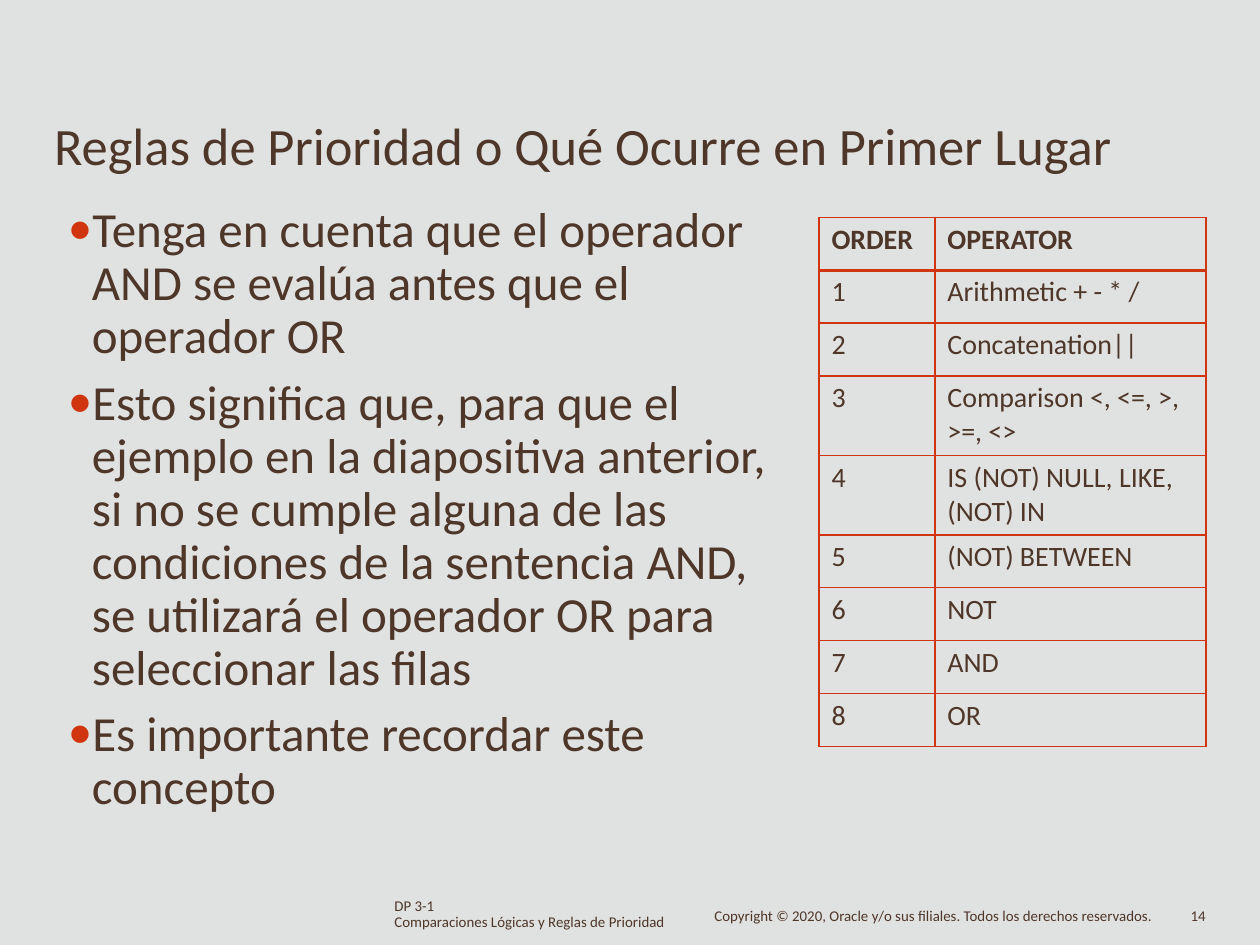
"""Build the slide on operator precedence rules."""
from dataclasses import dataclass

from lxml.etree import SubElement
from pptx import Presentation
from pptx.dml.color import RGBColor
from pptx.oxml.ns import qn
from pptx.util import Inches, Pt


@dataclass(frozen=True)
class Theme:
    font: str = "Calibri"
    ground: str = "E0E2E1"
    ink: str = "4E3629"
    accent: str = "D1350F"
    title: float = 30
    body: float = 28
    cell: float = 16
    foot: float = 8.5
    rule: float = 1
    head_rule: float = 2.25


T = Theme()


def write(tf, text, size, bold=False, line=None, before=0, left=0, bullet=False):
    tf.word_wrap = True
    for i, part in enumerate(text.split("\n")):
        p = tf.add_paragraph() if i else tf.paragraphs[0]
        pPr = p._p.get_or_add_pPr()
        pPr.set("marL", str(Inches(left)))
        if bullet:
            pPr.set("indent", str(Inches(-0.19)))
            SubElement(SubElement(pPr, qn("a:buClr")), qn("a:srgbClr")).set("val", T.accent)
            SubElement(pPr, qn("a:buFont")).set("typeface", T.font)
            SubElement(pPr, qn("a:buChar")).set("char", "•")
        if line:
            p.line_spacing = Pt(line)
        p.space_before = Pt(before if i else 0)
        r = p.add_run()
        r.text = part
        r.font.name, r.font.size, r.font.bold = T.font, Pt(size), bold
        r.font.color.rgb = RGBColor.from_string(T.ink)


prs = Presentation()
prs.slide_width, prs.slide_height = Inches(10), Inches(7.5)
W, H = prs.slide_width, prs.slide_height
s = prs.slides.add_slide(prs.slide_layouts[6])
s.background.fill.solid()
s.background.fill.fore_color.rgb = RGBColor.from_string(T.ground)

title = "Reglas de Prioridad o Qué Ocurre en Primer Lugar"
body = "\n".join([
    "Tenga en cuenta que el operador AND se evalúa antes que el operador OR",
    "Esto significa que, para que el ejemplo en la diapositiva anterior, si no se cumple "
    "alguna de las condiciones de la sentencia AND, se utilizará el operador OR para "
    "seleccionar las filas",
    "Es importante recordar este concepto",
])
lesson = "DP 3-1\nComparaciones Lógicas y Reglas de Prioridad"
rights = "Copyright © 2020, Oracle y/o sus filiales. Todos los derechos reservados."

# left, top, width and height as percentages of the slide
boxes = [
    (title, (4.3, 10.93, 91.4, 7.73), 0.08, dict(size=T.title)),
    (body, (5.3, 20.67, 55.7, 65.6), 0.07,
     dict(size=T.body, line=30.3, before=7.75, left=0.2, bullet=True)),
    (lesson, (31.2, 94.93, 21.8, 3.6), 0, dict(size=T.foot, line=9.7, left=0.01)),
    (rights, (56.6, 96.13, 35.2, 2), 0, dict(size=T.foot, line=9.1, left=0.01)),
    ("14", (94.1, 96.13, 2.2, 2), 0, dict(size=T.foot, line=9.1, left=0.04)),
]
for text, (x, y, w, h), top, fmt in boxes:
    sp = s.shapes.add_textbox(*(int(v * d / 100) for v, d in zip((x, y, w, h), (W, H, W, H))))
    tf = sp.text_frame
    tf.margin_left = tf.margin_right = tf.margin_bottom = 0
    tf.margin_top = Inches(top)
    write(tf, text, **fmt)

operators = [
    "Arithmetic + - * /", "Concatenation||", "Comparison <, <=, >,\n>=, <>",
    "IS (NOT) NULL, LIKE, (NOT) IN", "(NOT) BETWEEN", "NOT", "AND", "OR",
]
rows = [("ORDER", "OPERATOR")] + [(str(n), op) for n, op in enumerate(operators, 1)]
widths = (0.092 * W, 0.215 * W)
heights = [(0.084 if i in (3, 4) else 0.056) * H for i in range(len(rows))]
table = s.shapes.add_table(len(rows), 2, int(0.65 * W), int(0.23 * H),
                           int(sum(widths)), int(sum(heights))).table
table.horz_banding = False
for col, w in zip(table.columns, widths):
    col.width = int(w)
for i, (row, h) in enumerate(zip(rows, heights)):
    table.rows[i].height = int(h)
    for j, text in enumerate(row):
        cell = table.cell(i, j)
        cell.margin_left = cell.margin_right = cell.margin_bottom = 0
        cell.margin_top = Inches(0.04)
        write(cell.text_frame, text, T.cell, bold=i == 0, left=0.1)
        tcPr = cell._tc.get_or_add_tcPr()
        for side in "LRTB":
            heavy = (i, side) in ((0, "B"), (1, "T"))
            ln = SubElement(tcPr, qn("a:ln" + side))
            ln.set("w", str(Pt(T.head_rule if heavy else T.rule)))
            SubElement(SubElement(ln, qn("a:solidFill")), qn("a:srgbClr")).set("val", T.accent)
        cell.fill.background()

prs.save("out.pptx")
